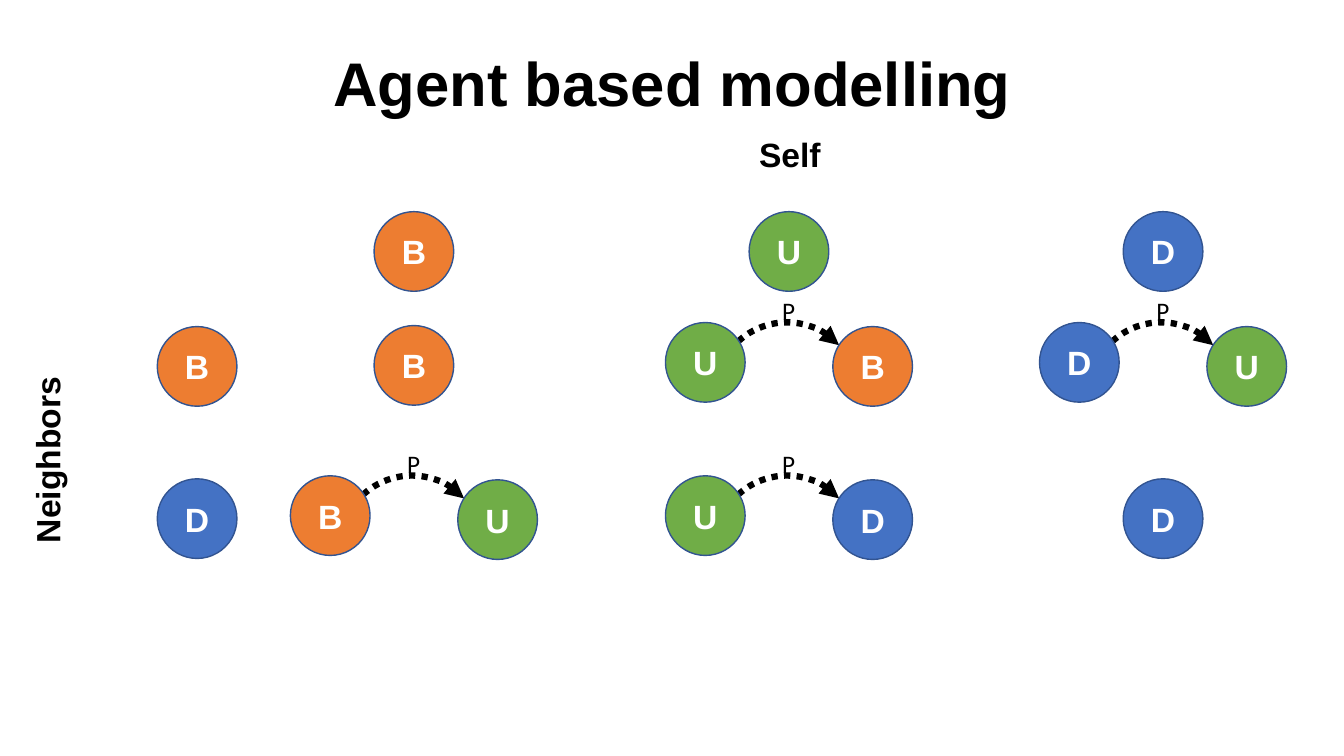
import dataclasses
import typing

import lxml.etree
import pptx
import pptx.dml.color
import pptx.enum.dml
import pptx.enum.shapes
import pptx.enum.text
import pptx.oxml.ns
import pptx.util

Inches = pptx.util.Inches
SHAPE = pptx.enum.shapes.MSO_SHAPE
ANCHOR = pptx.enum.text.MSO_ANCHOR
ALIGN = pptx.enum.text.PP_ALIGN
AUTO = pptx.enum.text.MSO_AUTO_SIZE

COLORS = {"B": "ED7D31", "U": "70AD47", "D": "4472C4",
          "outline": "325491", "text": "000000", "letter": "FFFFFF"}
HEADING = {"size": pptx.util.Pt(24), "name": "Arial", "bold": True}
TITLE = {**HEADING, "size": pptx.util.Pt(44)}
PROBABILITY = {"size": pptx.util.Pt(18), "name": "Calibri", "bold": False}

DIAMETER = 0.79
COLUMNS = {"B": 3.71, "U": 7.43, "D": 11.14}
SIDE_STEP = 0.83


@dataclasses.dataclass
class State:
    letter: str
    left: float
    top: float


@dataclasses.dataclass
class Transition:
    before: str
    after: str
    top: float


@dataclasses.dataclass
class Label:
    text: str
    left: float
    top: float
    width: float
    rotation: float


STATES = [
    *(State(letter, left, 2.1) for letter, left in COLUMNS.items()),
    State("B", 1.56, 3.24),
    State("D", 1.56, 4.75),
    State("B", COLUMNS["B"], 3.23),
    State("D", COLUMNS["D"], 4.75),
]
TRANSITIONS = [
    Transition("D", "U", 3.2),
    Transition("B", "U", 4.72),
    Transition("U", "D", 4.72),
    Transition("U", "B", 3.2),
]
LABELS = [Label("Self", 7.43, 1.28, 1.11, 0), Label("Neighbors", -0.48, 4.28, 1.9, 270)]


def rgb(name: str) -> pptx.dml.color.RGBColor:
    return pptx.dml.color.RGBColor.from_string(COLORS[name])


def write(sp: typing.Any, text: str, font: dict, color: str = "text", **frame: typing.Any) -> typing.Any:
    """Fill a shape with one formatted run and return its paragraph."""
    tf = sp.text_frame
    for key, value in frame.items():
        setattr(tf, key, value)
    p = tf.paragraphs[0]
    r = p.add_run()
    r.text = text
    for key, value in font.items():
        setattr(r.font, key, value)
    r.font.color.rgb = rgb(color)
    return p


def add_state(shapes: typing.Any, state: State) -> None:
    sp = shapes.add_shape(SHAPE.OVAL, Inches(state.left), Inches(state.top),
                          Inches(DIAMETER), Inches(DIAMETER))
    sp.shadow.inherit = False
    sp.fill.solid()
    sp.fill.fore_color.rgb = rgb(state.letter)
    sp.line.color.rgb = rgb("outline")
    sp.line.width = pptx.util.Pt(1)
    p = write(sp, state.letter, HEADING, "letter", word_wrap=False, vertical_anchor=ANCHOR.MIDDLE)
    p.alignment = ALIGN.CENTER


def add_arc(shapes: typing.Any, left: float, top: float) -> None:
    sp = shapes.add_shape(SHAPE.ARC, Inches(left), Inches(top), Inches(1.42), Inches(1.41))
    sp.rotation = 317.4
    sp.shadow.inherit = False
    sp.fill.background()
    sp.line.color.rgb = rgb("text")
    sp.line.width = pptx.util.Pt(4.5)
    sp.line.dash_style = pptx.enum.dml.MSO_LINE.ROUND_DOT
    ln = sp._element.spPr.find(pptx.oxml.ns.qn("a:ln"))
    lxml.etree.SubElement(ln, pptx.oxml.ns.qn("a:tailEnd"), type="triangle")


def add_transition(shapes: typing.Any, change: Transition) -> None:
    group = shapes.add_group_shape().shapes
    left, top = COLUMNS[change.before], change.top
    add_arc(group, left - 0.34, top)
    add_state(group, State(change.before, left - SIDE_STEP, top))
    add_state(group, State(change.after, left + SIDE_STEP, top + 0.04))
    box = group.add_textbox(Inches(left + 0.23), Inches(top - 0.32), Inches(0.31), Inches(0.4))
    write(box, "P", PROBABILITY, word_wrap=True, auto_size=AUTO.SHAPE_TO_FIT_TEXT)


def add_label(shapes: typing.Any, label: Label) -> None:
    box = shapes.add_textbox(Inches(label.left), Inches(label.top),
                             Inches(label.width), Inches(0.51))
    box.rotation = label.rotation
    write(box, label.text, HEADING, word_wrap=False)


def main() -> None:
    prs = pptx.Presentation()
    prs.slide_width, prs.slide_height = Inches(13.33), Inches(7.5)
    s = prs.slides.add_slide(prs.slide_layouts[5])

    # Title
    title = s.shapes.title
    title.left, title.top = Inches(0.92), Inches(0.13)
    title.width, title.height = Inches(11.5), Inches(1.45)
    p = write(title, "Agent based modelling", TITLE, word_wrap=True,
              auto_size=AUTO.NONE, vertical_anchor=ANCHOR.MIDDLE)
    p.alignment = ALIGN.CENTER
    p.line_spacing = 0.9

    # Axis labels, single states and state changes
    for label in LABELS:
        add_label(s.shapes, label)
    for state in STATES:
        add_state(s.shapes, state)
    for change in TRANSITIONS:
        add_transition(s.shapes, change)

    prs.save("out.pptx")


if __name__ == "__main__":
    main()
